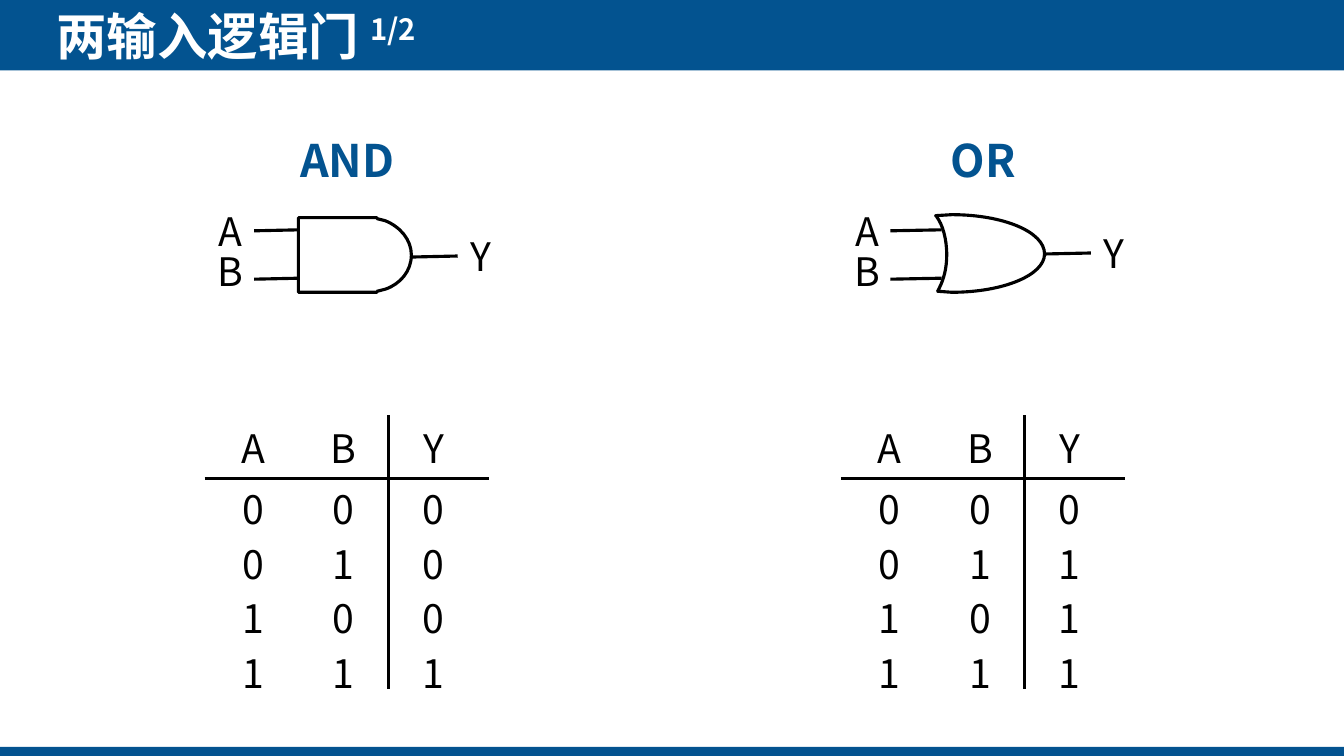
from itertools import product

from lxml import etree
from pptx import Presentation
from pptx.dml.color import RGBColor
from pptx.enum import shapes, text
from pptx.oxml import ns
from pptx import util as u

BLUE = RGBColor(0x03, 0x53, 0x90)
BLACK = RGBColor(0, 0, 0)
WHITE = RGBColor(255, 255, 255)
FACE = "Noto Sans CJK SC"
PX = u.Inches(1) // 100  # 100 px to the inch
WIDE, HIGH = 1333, 750

HEAD = {"size": u.Pt(36), "bold": True}
NAME = {"size": u.Pt(32), "bold": True}
MARK = {"size": u.Pt(28), "bold": False}
FLUSH = dict.fromkeys(
    ("margin_left", "margin_top", "margin_right", "margin_bottom"), 0)


def put(item, vals):
    for key, val in vals.items():
        setattr(item, key, val)


class Deck:
    def __init__(self):
        self.prs = Presentation()
        put(self.prs, {"slide_width": WIDE * PX, "slide_height": HIGH * PX})
        self.slide = self.prs.slides.add_slide(self.prs.slide_layouts[5])
        self.items = self.slide.shapes

    def style(self, run, vals, color):
        put(run.font, {"name": FACE, **vals})
        run.font.color.rgb = color
        east = etree.SubElement(run._r.get_or_add_rPr(), ns.qn("a:ea"))
        east.set("typeface", FACE)

    def bar(self, *box):
        bar = self.items.add_shape(
            shapes.MSO_SHAPE.RECTANGLE, *(n * PX for n in box))
        bar.shadow.inherit = False
        bar.fill.solid()
        bar.fill.fore_color.rgb = BLUE
        bar.line.fill.background()

    def title(self, words, part, x, y, w, h):
        title = self.items.title
        title.element.getparent().append(title.element)  # above the bars
        put(title, {"left": x * PX, "top": y * PX,
                    "width": w * PX, "height": h * PX})
        frame = title.text_frame
        put(frame, {**FLUSH, "word_wrap": True,
                    "vertical_anchor": text.MSO_ANCHOR.MIDDLE,
                    "auto_size": text.MSO_AUTO_SIZE.NONE})
        para = frame.paragraphs[0]
        para.alignment = text.PP_ALIGN.LEFT
        for words_now in (words, part):
            run = para.add_run()
            run.text = words_now
            self.style(run, HEAD, WHITE)
        run._r.get_or_add_rPr().set("baseline", "30000")

    def label(self, words, x, y, w=46, h=57, vals=MARK, color=BLACK):
        frame = self.items.add_textbox(
            x * PX, y * PX, w * PX, h * PX).text_frame
        put(frame, {"word_wrap": True,
                    "auto_size": text.MSO_AUTO_SIZE.SHAPE_TO_FIT_TEXT})
        para = frame.paragraphs[0]
        para.alignment = text.PP_ALIGN.CENTER
        run = para.add_run()
        run.text = str(words)
        self.style(run, vals, color)

    def pen(self, item):
        item.line.width = u.Pt(2.25)
        item.line.color.rgb = BLACK

    def line(self, *ends):
        line = self.items.add_connector(
            shapes.MSO_CONNECTOR.STRAIGHT, *(n * PX for n in ends))
        self.pen(line)
        etree.SubElement(line._element.spPr, ns.qn("a:effectLst"))

    def shell(self, x, start, steps):
        """Closed outline; a step is one point or three curve points."""
        def spot(dot):
            return (dot[0] + x) * PX, dot[1] * PX

        form = self.items.build_freeform(*spot(start))
        form.add_line_segments([spot(step[-1]) for step in steps], close=True)
        shell = form.convert_to_shape()
        shell.shadow.inherit = False
        shell.fill.background()
        self.pen(shell)
        # Turn the three-point steps into curves
        legs = list(shell.element.iter(ns.qn("a:lnTo")))
        for leg, step in zip(legs, steps):
            if len(step) == 3:
                curve = etree.Element(ns.qn("a:cubicBezTo"))
                for a, b in map(spot, step):
                    etree.SubElement(curve, ns.qn("a:pt"),
                                     x=str(a - shell.left),
                                     y=str(b - shell.top))
                leg.getparent().replace(leg, curve)

    def gate(self, x, name, rule, wire, out, start, steps):
        self.label(name, x + 265, 127, 159, 64, NAME, BLUE)
        # Symbol with its inputs and output
        for mark, y, row in (("A", 201, 229), ("B", 240, 277)):
            self.label(mark, x + 206, y)
            self.line(x + 252, row, x + wire, row - 1)
        tip, y = out
        self.line(x + tip, y, x + tip + 46, y - 1)
        self.label("Y", x + tip + 46, y - 29)
        self.shell(x, start, steps)
        # Truth table
        self.line(x + 203, 475, x + 485, 475)
        self.line(x + 385, 412, x + 385, 684)
        rows = [(a, b, rule(a, b)) for a, b in product((0, 1), repeat=2)]
        tops = [416] + [477 + 54 * i for i in range(len(rows))]
        for y, row in zip(tops, [("A", "B", "Y"), *rows]):
            for col, mark in zip((228, 318, 407), row):
                self.label(mark, x + col, y)


# Outlines, measured from the left edge of each gate's half
AND = ((296, 216), [
    [(365, 216)], [(374, 216)], [(374, 217)], [(382, 219)],
    ((397, 225), (408, 238), (408, 253)),
    ((408, 269), (397, 282), (382, 287)),
    [(374, 289)], [(374, 290)], [(365, 290)], [(296, 290)]])
OR = ((313, 213), [
    ((364, 213), (405, 230), (405, 252)),
    ((405, 273), (364, 290), (313, 290)),
    [(299, 289)], [(301, 285)],
    ((305, 277), (308, 266), (308, 253)),
    ((308, 237), (304, 223), (298, 215)),
    [(297, 214)]])


def main():
    deck = Deck()
    # Header and footer
    deck.bar(0, -3, WIDE, 73)
    deck.bar(0, 741, WIDE, 10)
    deck.title("两输入逻辑门 ", "1/2", 56, 5, 857, 61)
    # Gates
    deck.gate(0, "AND", min, 297, (408, 255), *AND)
    deck.gate(631, "OR", max, 303, (405, 252), *OR)
    deck.prs.save("out.pptx")


if __name__ == "__main__":
    main()
